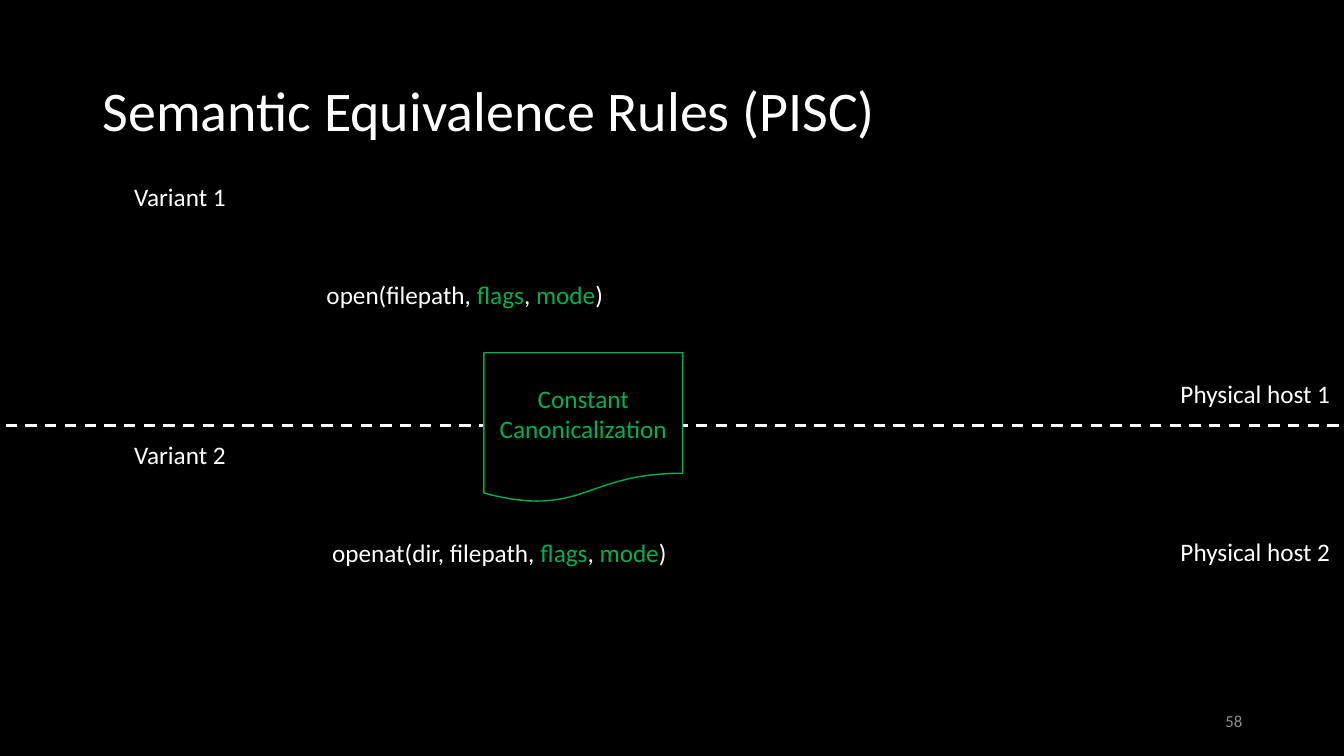
from pptx import Presentation, util as u
from pptx.dml.color import RGBColor
from pptx.enum import dml, shapes, text
from lxml import etree

BLACK, WHITE, GREEN, GREY = "000000", "FFFFFF", "00B050", "8C8C8C"
FONT = "Calibri"
LEFT, MID, RIGHT = text.PP_ALIGN.LEFT, text.PP_ALIGN.CENTER, text.PP_ALIGN.RIGHT
TOP, HALF = text.MSO_ANCHOR.TOP, text.MSO_ANCHOR.MIDDLE
RECT = shapes.MSO_SHAPE.RECTANGLE
DOC = shapes.MSO_SHAPE.FLOWCHART_DOCUMENT

TITLE = "Semantic Equivalence Rules (PISC)"
PAGE = "58"
RULE = "Constant Canonicalization"
ARGS = [("flags", GREEN), (", ", WHITE), ("mode", GREEN), (")", WHITE)]
HOSTS = [
    ("Variant 1", "open(filepath, ", 4.43, "Physical host 1", 3.7),
    ("Variant 2", " openat(dir, filepath, ", 5.94, "Physical host 2", 5.27),
]
FIRST, STEP = 1.72, 2.56
CALL_GAP = 0.9
SPLIT = 4.22

deck = Presentation()
deck.slide_width, deck.slide_height = u.Inches(13.33), u.Inches(7.5)
slide = deck.slides.add_slide(deck.slide_layouts[6])


def color(code):
    return RGBColor.from_string(code)


def write(shape, runs, size=18, align=LEFT, anchor=HALF):
    frame = shape.text_frame
    frame.word_wrap = True
    frame.vertical_anchor = anchor
    para = frame.paragraphs[0]
    para.alignment = align
    for words, code in runs:
        run = para.add_run()
        run.text = words
        run.font.name = FONT
        run.font.size = u.Pt(size)
        run.font.color.rgb = color(code)
    return para


def label(box, words, code=WHITE, **style):
    shape = slide.shapes.add_textbox(*map(u.Inches, box))
    return write(shape, [(words, code)], **style)


def block(kind, box, runs, edge=None, **style):
    shape = slide.shapes.add_shape(kind, *map(u.Inches, box))
    shape.shadow.inherit = False
    shape.fill.solid()
    shape.fill.fore_color.rgb = color(BLACK)
    if edge:
        shape.line.color.rgb = color(edge)
        shape.line.width = u.Pt(1)
    else:
        shape.line.fill.background()
    write(shape, runs, **style)


def divide(y):
    ends = map(u.Inches, (-0.14, y, 13.67, y))
    line = slide.shapes.add_connector(shapes.MSO_CONNECTOR.STRAIGHT, *ends)
    line.line.color.rgb = color(WHITE)
    line.line.width = u.Pt(2)
    line.line.dash_style = dml.MSO_LINE.DASH
    props = line.line._get_or_add_ln().getparent()
    space = props.nsmap["a"]
    etree.SubElement(props, f"{{{space}}}effectLst")


def main():
    back = slide.background.fill
    back.solid()
    back.fore_color.rgb = color(BLACK)
    head = label((0.92, 0.4, 11.5, 1.45), TITLE, size=40)
    head.line_spacing = 0.9
    label((9.42, 6.95, 3, 0.4), PAGE, GREY, size=12, align=RIGHT)
    for row, (name, call, width, host, y) in enumerate(HOSTS):
        top = FIRST + row * STEP
        block(RECT, (3.14, top + CALL_GAP, width, 0.6),
              [(call, WHITE)] + ARGS, edge=BLACK)
        label((11.61, y, 1.72, 0.71), host, anchor=TOP)
        block(RECT, (0.99, top, 1.59, 0.45), [(name, WHITE)], align=MID)
    divide(SPLIT)
    block(DOC, (4.8, 3.5, 1.97, 1.49), [(RULE, GREEN)],
          edge=GREEN, align=MID)
    deck.save("out.pptx")


if __name__ == "__main__":
    main()
